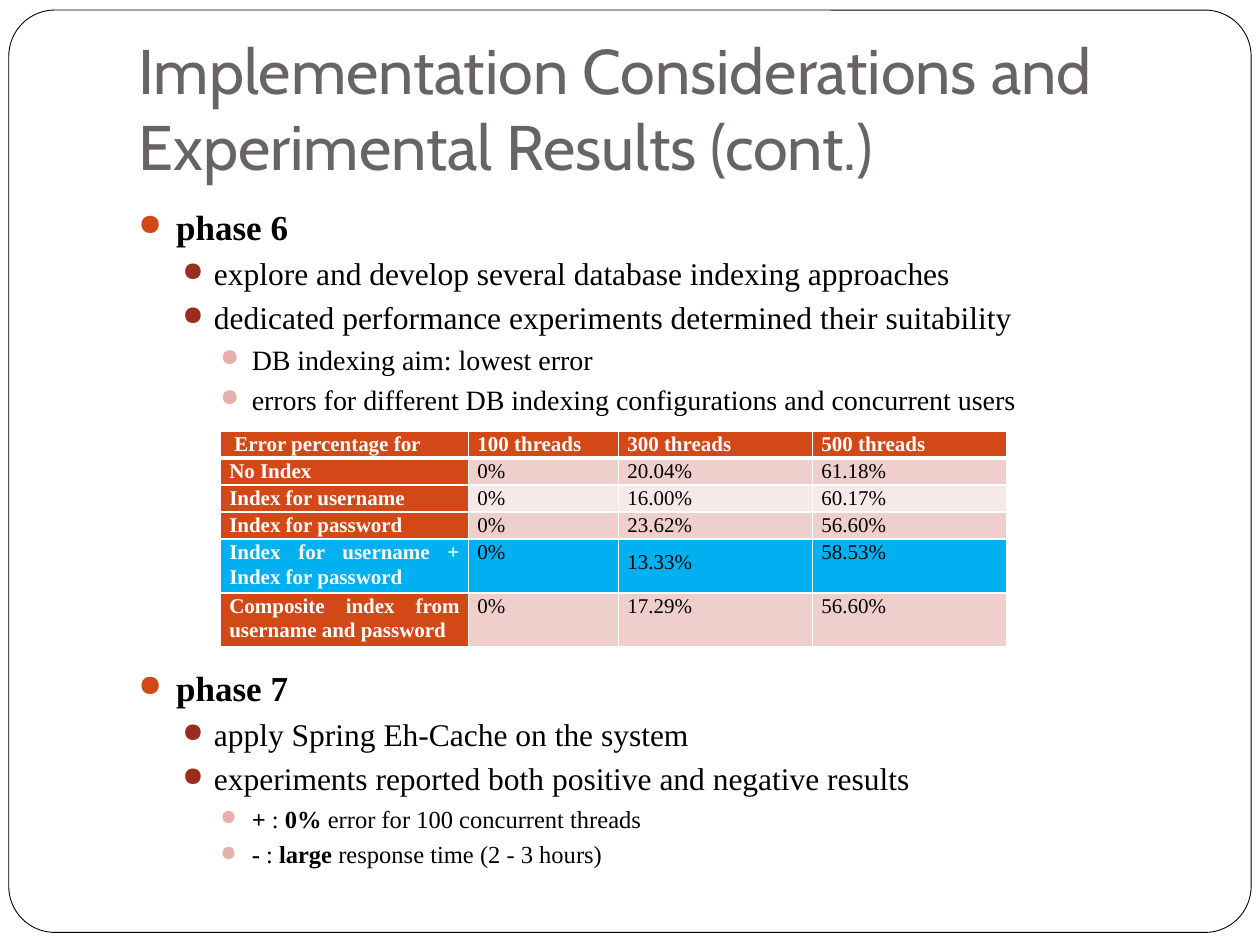
"""Build a slide of two bulleted phases with a table of indexing errors."""
from dataclasses import dataclass

from lxml.etree import SubElement
from pptx import Presentation
from pptx.dml.color import RGBColor
from pptx.enum.shapes import MSO_SHAPE
from pptx.enum.text import MSO_ANCHOR, PP_ALIGN
from pptx.oxml.ns import qn
from pptx.util import Emu, Inches, Pt

COLORS = {"paper": "FFFFFF", "ink": "000000", "title": "696464", "accent": "D34817",
          "rust": "9B2D1F", "pink": "E6B1AC", "band": "EFCFCC", "light": "F7E9E8",
          "best": "00B0F0"}
SERIF = "Times New Roman"
UNIT = Inches(0.1)


@dataclass(frozen=True)
class Box:
    """A frame in grid units, on 100 columns by 75 rows."""
    col: float
    row: float
    cols: float
    rows: float

    def emu(self) -> tuple[Emu, ...]:
        return tuple(Emu(round(n * UNIT)) for n in (self.col, self.row, self.cols, self.rows))


@dataclass(frozen=True)
class Level:
    """The format of one outline level."""
    margin: float
    hanging: float
    before: float
    color: str


@dataclass(frozen=True)
class Item:
    """A bulleted line; every second text, from lead on, is bold."""
    level: int
    size: float
    texts: tuple[str, ...]
    lead: bool = False


@dataclass(frozen=True)
class ErrorRow:
    """A table row with its fills and its height in lines."""
    cells: tuple[str, ...]
    head: str = "accent"
    body: str = "band"
    lines: int = 1


LEVELS = (Level(0.3, 0.3, 5.8, "accent"), Level(0.6, 0.25, 3.7, "rust"),
          Level(0.9, 0.25, 3.7, "pink"))
PHASES = (
    (Box(10, 15.8, 86.7, 18), (
        Item(0, 20, ("phase 6",), True),
        Item(1, 18, ("explore and develop several database indexing approaches",)),
        Item(1, 18, ("dedicated performance experiments determined their suitability",)),
        Item(2, 16, ("DB indexing aim: lowest error",)),
        Item(2, 16, ("errors for different DB indexing configurations and concurrent users",)))),
    (Box(10, 52.4, 86.7, 19), (
        Item(0, 20, ("phase 7",), True),
        Item(1, 18, ("apply Spring Eh-Cache on the system",)),
        Item(1, 18, ("experiments reported both positive and negative results",)),
        Item(2, 14, ("+", " : ", "0% ", "error for 100 concurrent threads"), True),
        Item(2, 14, ("-", " : ", "large ", "response time (2 - 3 hours)"), True))),
)
ROWS = (
    ErrorRow(("Error percentage for", "100 threads", "300 threads", "500 threads"), body="accent"),
    ErrorRow(("No Index", "0%", "20.04%", "61.18%")),
    ErrorRow(("Index for username", "0%", "16.00%", "60.17%"), body="light"),
    ErrorRow(("Index for password", "0%", "23.62%", "56.60%")),
    ErrorRow(("Index for username + Index for password", "0%", "13.33%", "58.53%"),
             "best", "best", 2),
    ErrorRow(("Composite index from username and password", "0%", "17.29%", "56.60%"), lines=2),
)
COLUMNS = (19.7, 11.9, 15.4, 15.4)
LINE_ROWS = 1.97


def rgb(name: str) -> RGBColor:
    return RGBColor.from_string(COLORS[name])


def add_run(p, text: str, *, size: float, font: str = SERIF, color: str = "ink",
            bold: bool = False) -> None:
    r = p.add_run()
    r.text = text
    r.font.size, r.font.name, r.font.bold = Pt(size), font, bold
    r.font.color.rgb = rgb(color)


def add_frame(s, box: Box):
    tf = s.shapes.add_textbox(*box.emu()).text_frame
    tf.word_wrap = True
    return tf


def add_border(s) -> None:
    sp = s.shapes.add_shape(MSO_SHAPE.ROUNDED_RECTANGLE, *Box(0.7, 0.8, 98.6, 73.2).emu())
    sp.adjustments[0] = 0.05
    sp.shadow.inherit = False
    sp.fill.solid()
    sp.fill.fore_color.rgb = rgb("paper")
    sp.line.color.rgb = rgb("ink")
    sp.line.width = Pt(0.5)


def add_title(s, text: str) -> None:
    tf = add_frame(s, Box(10, 3, 85, 12.5))
    tf.vertical_anchor = MSO_ANCHOR.BOTTOM
    tf.margin_bottom = Inches(0.1)
    add_run(tf.paragraphs[0], text, size=36, font="Cabin", color="title")


def set_bullet(p, level: Level) -> None:
    pPr = p._p.get_or_add_pPr()
    pPr.set("marL", str(Inches(level.margin)))
    pPr.set("indent", str(-Inches(level.hanging)))
    SubElement(SubElement(pPr, qn("a:buClr")), qn("a:srgbClr"), val=COLORS[level.color])
    SubElement(pPr, qn("a:buSzPct"), val="85000")
    SubElement(pPr, qn("a:buChar"), char="●")


def add_phase(s, box: Box, items: tuple[Item, ...]) -> None:
    tf = add_frame(s, box)
    for i, item in enumerate(items):
        p = tf.add_paragraph() if i else tf.paragraphs[0]
        level = LEVELS[item.level]
        p.level = item.level
        p.space_before = Pt(level.before)
        set_bullet(p, level)
        for j, text in enumerate(item.texts):
            add_run(p, text, size=item.size, bold=item.lead and j % 2 == 0)


def set_borders(cell, top: float, bottom: float) -> None:
    tcPr = cell._tc.get_or_add_tcPr()
    for side, width in (("L", 1), ("R", 1), ("T", top), ("B", bottom)):
        ln = SubElement(tcPr, qn(f"a:ln{side}"), w=str(Pt(width)))
        SubElement(SubElement(ln, qn("a:solidFill")), qn("a:srgbClr"), val=COLORS["paper"])


def fill_cell(cell, text: str, fill: str, *, heading: bool, top: float, bottom: float,
              spacing: float) -> None:
    set_borders(cell, top, bottom)
    cell.fill.solid()
    cell.fill.fore_color.rgb = rgb(fill)
    cell.margin_left = cell.margin_right = Inches(0.07)
    cell.margin_top = cell.margin_bottom = 0
    p = cell.text_frame.paragraphs[0]
    p.alignment, p.line_spacing = PP_ALIGN.JUSTIFY, spacing
    add_run(p, text, size=12, color="paper" if heading else "ink", bold=heading)


def add_errors(s) -> None:
    box = Box(17.5, 34.2, sum(COLUMNS), LINE_ROWS * sum(row.lines for row in ROWS))
    table = s.shapes.add_table(len(ROWS), len(COLUMNS), *box.emu()).table
    for column, width in zip(table.columns, COLUMNS):
        column.width = Emu(round(width * UNIT))
    for i, row in enumerate(ROWS):
        table.rows[i].height = Emu(round(row.lines * LINE_ROWS * UNIT))
        for j, text in enumerate(row.cells):
            fill_cell(table.cell(i, j), text, row.body if j else row.head,
                      heading=i == 0 or j == 0, top=3 if i == 1 else 1,
                      bottom=3 if i == 0 else 1,
                      spacing=1.5 if text == "13.33%" else 1.07)
    table.cell(0, 0).margin_left = Inches(0.11)


def main() -> None:
    prs = Presentation()
    prs.slide_width, prs.slide_height = 100 * UNIT, 75 * UNIT
    s = prs.slides.add_slide(prs.slide_layouts[6])
    add_border(s)
    add_title(s, "Implementation Considerations and Experimental Results (cont.)")
    for box, items in PHASES:
        add_phase(s, box, items)
    add_errors(s)
    prs.save("out.pptx")


if __name__ == "__main__":
    main()
